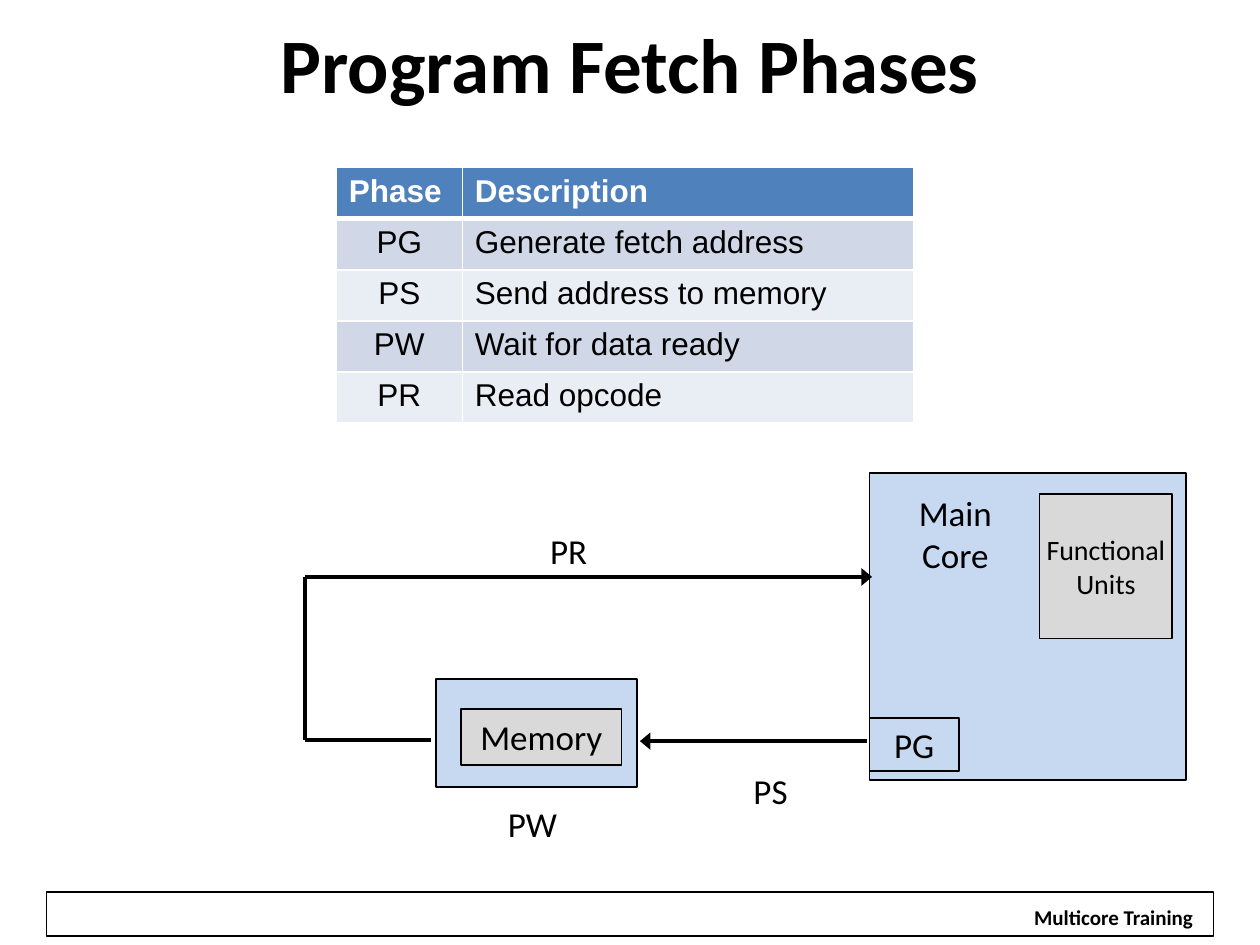
from pptx import Presentation
from pptx.dml.color import RGBColor
from pptx.enum.shapes import MSO_CONNECTOR, MSO_SHAPE
from pptx.enum.text import MSO_ANCHOR, PP_ALIGN
from pptx.oxml.ns import qn
from pptx.util import Cm, Pt
from lxml.etree import SubElement

BLACK = RGBColor(0x00, 0x00, 0x00)
WHITE = RGBColor(0xFF, 0xFF, 0xFF)
PALE_BLUE = RGBColor(0xC6, 0xD9, 0xF1)
GREY = RGBColor(0xD9, 0xD9, 0xD9)
HEADER_BLUE = RGBColor(0x4F, 0x81, 0xBD)
BAND_DARK = RGBColor(0xD0, 0xD8, 0xE8)
BAND_LIGHT = RGBColor(0xE9, 0xED, 0xF4)

LABEL_INSETS = {"margin_left": Cm(0.23), "margin_right": Cm(0.23),
                "margin_top": Cm(0.1), "margin_bottom": Cm(0.1)}

PHASES = [
    ("Phase", "Description"),
    ("PG", "Generate fetch address"),
    ("PS", "Send address to memory"),
    ("PW", "Wait for data ready"),
    ("PR", "Read opcode"),
]


def set_attrs(obj, values):
    for name, value in values.items():
        setattr(obj, name, value)


def write(tf, text, size=20, bold=False, frame=None):
    """Fill a text frame with centred Calibri text."""
    set_attrs(tf, {"word_wrap": True, "vertical_anchor": MSO_ANCHOR.TOP, **(frame or {})})
    tf.text = text
    for p in tf.paragraphs:
        p.alignment = PP_ALIGN.CENTER
        for r in p.runs:
            set_attrs(r.font, {"name": "Calibri", "size": Pt(size), "bold": bold})
            r.font.color.rgb = BLACK


def add_label(s, text, x, y, w=1.65, h=1.07, **style):
    tb = s.shapes.add_textbox(Cm(x), Cm(y), Cm(w), Cm(h))
    write(tb.text_frame, text, **style)


def add_box(s, x, y, w, h, fill=None, line=1, text="", **style):
    sp = s.shapes.add_shape(MSO_SHAPE.RECTANGLE, Cm(x), Cm(y), Cm(w), Cm(h))
    sp.shadow.inherit = False
    if fill is None:
        sp.fill.background()
    else:
        sp.fill.solid()
        sp.fill.fore_color.rgb = fill
    if line:
        sp.line.color.rgb = BLACK
        sp.line.width = Pt(line)
    else:
        sp.line.fill.background()
    if text:
        write(sp.text_frame, text, **style)


def add_line(s, start, end, arrow=False):
    x1, y1, x2, y2 = (Cm(v) for v in start + end)
    c = s.shapes.add_connector(MSO_CONNECTOR.STRAIGHT, x1, y1, x2, y2)
    c.line.color.rgb = BLACK
    c.line.width = Pt(2)
    if arrow:
        SubElement(c.line._get_or_add_ln(), qn("a:tailEnd"), type="triangle", w="lg")
    SubElement(c._element.spPr, qn("a:effectLst"))


def set_borders(cell, widths):
    tcPr = cell._tc.get_or_add_tcPr()
    for side, width in zip("LRTB", widths):
        ln = SubElement(tcPr, qn(f"a:ln{side}"), w=str(Pt(width)))
        fill = SubElement(ln, qn("a:solidFill"))
        SubElement(fill, qn("a:srgbClr"), val=str(WHITE))


def add_phase_table(s, x, y, col_widths, row_height):
    table = s.shapes.add_table(len(PHASES), len(col_widths), Cm(x), Cm(y),
                               Cm(sum(col_widths)), Cm(row_height * len(PHASES))).table
    for col, width in zip(table.columns, col_widths):
        col.width = Cm(width)
    for i, values in enumerate(PHASES):
        header = i == 0
        table.rows[i].height = Cm(row_height)
        band = HEADER_BLUE if header else BAND_DARK if i % 2 else BAND_LIGHT
        for j, value in enumerate(values):
            cell = table.cell(i, j)
            set_borders(cell, (1, 1, 3 if i == 1 else 1, 3 if header else 1))
            cell.fill.solid()
            cell.fill.fore_color.rgb = band
            cell.text = value
            p = cell.text_frame.paragraphs[0]
            if j == 0 and not header:
                p.alignment = PP_ALIGN.CENTER
            font = p.runs[0].font
            set_attrs(font, {"name": "Arial", "size": Pt(18), "bold": header})
            font.color.rgb = WHITE if header else BLACK


def add_footer(s):
    add_box(s, 0.94, 17.98, 23.52, 0.89, line=0.75)
    add_box(s, 20.57, 18.11, 3.76, 0.66, WHITE, None, "Multicore Training",
            size=12, bold=True, frame={"word_wrap": False})


def add_core(s):
    add_box(s, 17.53, 9.53, 6.38, 6.2, PALE_BLUE)
    add_box(s, 17.81, 9.78, 2.9, 2.06, PALE_BLUE, None, "Main\vCore")
    add_box(s, 17.53, 14.48, 1.8, 1.07, text="PG", frame=LABEL_INSETS)
    add_box(s, 20.96, 9.96, 2.67, 2.92, GREY, 0.75, "Functional\nUnits", size=16,
            frame={"word_wrap": False, "vertical_anchor": MSO_ANCHOR.MIDDLE})


def add_memory(s):
    add_box(s, 8.79, 13.69, 4.06, 2.18, PALE_BLUE)
    add_box(s, 9.3, 14.3, 3.23, 1.12, GREY, text="Memory")


def add_fetch_paths(s):
    for text, x, y in (("PW", 9.91, 16.08), ("PS", 14.71, 15.42), ("PR", 10.64, 10.57)):
        add_label(s, text, x, y, frame=LABEL_INSETS)
    add_line(s, (17.48, 14.94), (12.9, 14.94), arrow=True)
    route = [(8.69, 14.92), (6.15, 14.92), (6.15, 11.63), (17.58, 11.63)]
    for start, end in zip(route, route[1:]):
        add_line(s, start, end, arrow=end == route[-1])


def main():
    prs = Presentation()
    prs.slide_width, prs.slide_height = Cm(25.4), Cm(19.05)
    s = prs.slides.add_slide(prs.slide_layouts[6])
    add_footer(s)
    add_label(s, "Program Fetch Phases", 1.27, 0.2, 22.86, 2.11, size=44, bold=True,
              frame={"vertical_anchor": MSO_ANCHOR.MIDDLE})
    add_phase_table(s, 6.78, 3.38, (2.54, 9.09), 1.03)
    add_core(s)
    add_memory(s)
    add_fetch_paths(s)
    prs.save("out.pptx")


if __name__ == "__main__":
    main()
